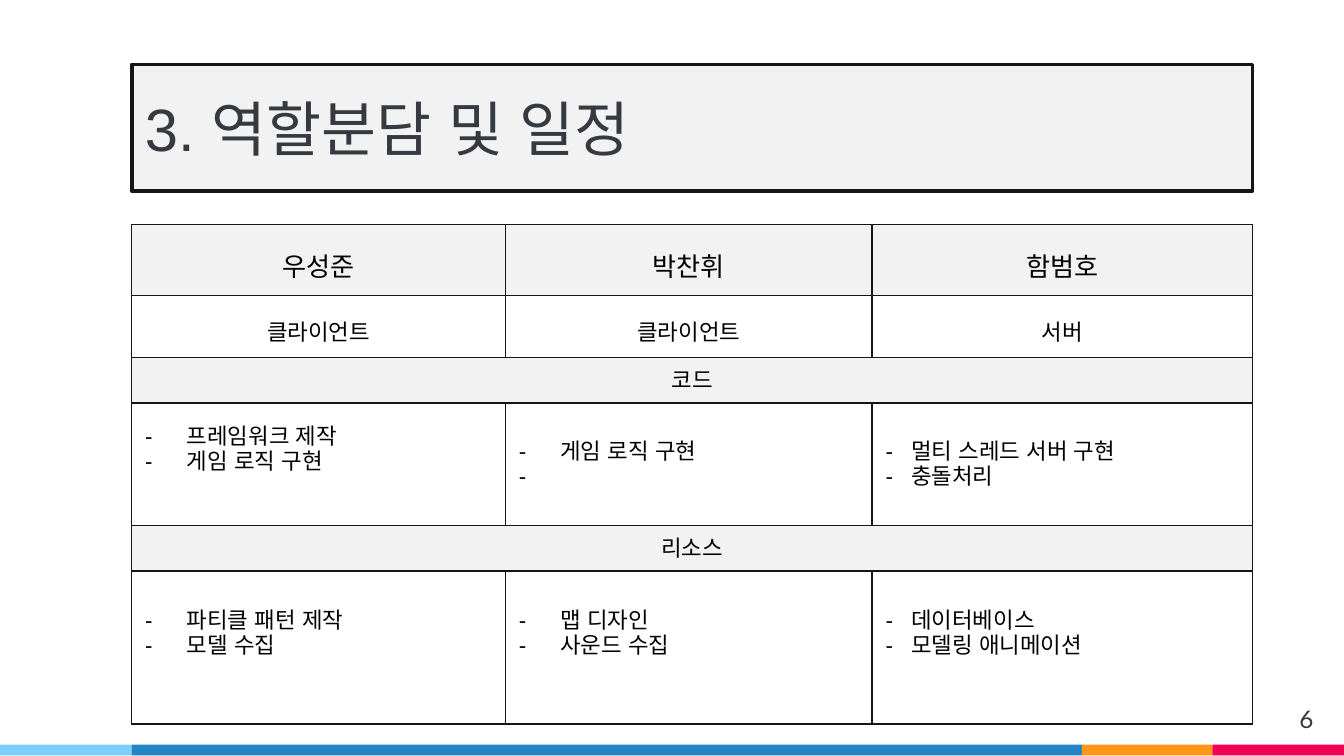
from lxml import etree
from pptx import Presentation
from pptx.dml.color import RGBColor
from pptx.enum.shapes import MSO_SHAPE
from pptx.enum.text import MSO_ANCHOR, PP_ALIGN
from pptx.oxml.ns import qn
from pptx.util import Inches, Pt

RECT = MSO_SHAPE.RECTANGLE
MIDDLE = MSO_ANCHOR.MIDDLE
LEFT, CENTER, RIGHT = PP_ALIGN.LEFT, PP_ALIGN.CENTER, PP_ALIGN.RIGHT

COLORS = {
    "ink": "343A40", "edge": "13171A", "text": "000000", "panel": "F2F2F2",
    "sky": "7ECEFD", "blue": "2185C5", "orange": "FF9715", "red": "F20253",
}
WIDE = 10
HIGH = WIDE * 9 / 16
STRIPES = [("sky", 0.98), ("blue", 7.07), ("orange", 0.97), ("red", 0.98)]
COLS = [2.78, 2.73, 2.83]
ROWS = [0.53, 0.46, 0.34, 0.91, 0.34, 1.14]
INDENTS = [0.31, 0.31, 0.19]
NAMES = ["우성준", "박찬휘", "함범호"]
ROLES = ["클라이언트", "클라이언트", "서버"]
CODE = [["프레임워크 제작", "게임 로직 구현"],
        ["게임 로직 구현", "-"],
        ["멀티 스레드 서버 구현", "충돌처리"]]
ASSETS = [["파티클 패턴 제작", "모델 수집"],
          ["맵 디자인", "사운드 수집"],
          ["데이터베이스", "모델링 애니메이션"]]


class Deck:
    def __init__(self, wide, high):
        self.file = Presentation()
        self.file.slide_width = Inches(wide)
        self.file.slide_height = Inches(high)
        self.slide = self.file.slides.add_slide(self.file.slide_layouts[6])
        self.font = "Arial"

    def color(self, name):
        return RGBColor.from_string(COLORS[name])

    def box(self, x, y, w, h, fill, line=None):
        shape = self.slide.shapes.add_shape(
            RECT, Inches(x), Inches(y), Inches(w), Inches(h))
        shape.shadow.inherit = False
        shape.fill.solid()
        shape.fill.fore_color.rgb = self.color(fill)
        if line:
            shape.line.color.rgb = self.color(line)
            shape.line.width = Pt(2)
        else:
            shape.line.fill.background()
        return shape

    def frame(self, shape, inset=0.1):
        frame = shape.text_frame
        frame.word_wrap = True
        frame.margin_left = frame.margin_right = Inches(inset)
        frame.margin_top = frame.margin_bottom = Inches(inset)
        return frame

    def run(self, para, text, size, color="text", font=None):
        """Add a run whose Latin and Korean text share one font."""
        run = para.add_run()
        run.text = text
        run.font.size = Pt(size)
        run.font.name = font or self.font
        run.font.color.rgb = self.color(color)
        etree.SubElement(run.font._element, qn("a:ea"),
                         typeface=run.font.name)

    def title(self, text):
        shape = self.box(0.98, 0.48, 8.34, 0.94, "panel", "edge")
        frame = self.frame(shape)
        frame.vertical_anchor = MIDDLE
        para = frame.paragraphs[0]
        para.alignment = LEFT
        self.run(para, text, 32, "ink")

    def page(self, number):
        shape = self.slide.shapes.add_textbox(
            Inches(9.27), Inches(5.14), Inches(0.6), Inches(0.34))
        para = self.frame(shape).paragraphs[0]
        para.alignment = RIGHT
        self.run(para, number, 13, "ink", "Lato")

    def table(self, x, y, cols, rows):
        shape = self.slide.shapes.add_table(
            len(rows), len(cols), Inches(x), Inches(y),
            Inches(sum(cols)), Inches(sum(rows)))
        table = shape.table
        table.first_row = table.horz_banding = False
        for col, wide in zip(table.columns, cols):
            col.width = Inches(wide)
        for row, high in zip(table.rows, rows):
            row.height = Inches(high)
        for cell in table.iter_cells():
            self.border(cell)
            cell.fill.background()
            cell.vertical_anchor = MIDDLE
        return table

    def border(self, cell):
        props = cell._tc.get_or_add_tcPr()
        for side in ("a:lnL", "a:lnR", "a:lnT", "a:lnB"):
            line = etree.SubElement(props, qn(side), w=str(Pt(1)))
            fill = etree.SubElement(line, qn("a:solidFill"))
            etree.SubElement(fill, qn("a:srgbClr"), val=COLORS["edge"])

    def label(self, cell, text, size=12, space=None, fill=None):
        if fill:
            cell.fill.solid()
            cell.fill.fore_color.rgb = self.color(fill)
        para = cell.text_frame.paragraphs[0]
        para.alignment = CENTER
        para.line_spacing = space
        self.run(para, text, size)

    def tasks(self, cell, items, indent, foot):
        """Fill a cell with dashed lines; a larger foot lifts them."""
        cell.margin_bottom = Inches(foot)
        frame = cell.text_frame
        for i, item in enumerate(items):
            para = frame.add_paragraph() if i else frame.paragraphs[0]
            self.run(para, item, 12)
            if item != "-":
                self.bullet(para, indent)

    def bullet(self, para, indent):
        props = para._p.get_or_add_pPr()
        props.set("marL", str(Inches(indent)))
        props.set("indent", str(-Inches(indent)))
        tint = etree.SubElement(props, qn("a:buClr"))
        etree.SubElement(tint, qn("a:srgbClr"), val=COLORS["text"])
        etree.SubElement(props, qn("a:buFont"), typeface=self.font)
        etree.SubElement(props, qn("a:buChar"), char="-")


def main():
    deck = Deck(WIDE, HIGH)
    x = 0
    for color, wide in STRIPES:
        deck.box(x, 5.54, wide, 0.08, color)
        x += wide
    deck.title("3. 역할분담 및 일정")
    deck.page("6")

    table = deck.table(0.98, 1.67, COLS, ROWS)
    for col, indent in enumerate(INDENTS):
        deck.label(table.cell(0, col), NAMES[col], 14, 1.5, "panel")
        deck.label(table.cell(1, col), ROLES[col], space=1.5)
        deck.tasks(table.cell(3, col), CODE[col], indent, 0.05 if col else 0.27)
        deck.tasks(table.cell(5, col), ASSETS[col], indent, 0.27)
    for row, text in ((2, "코드"), (4, "리소스")):
        band = table.cell(row, 0)
        band.merge(table.cell(row, 2))
        deck.label(band, text, fill="panel")
    deck.file.save("out.pptx")


if __name__ == "__main__":
    main()
